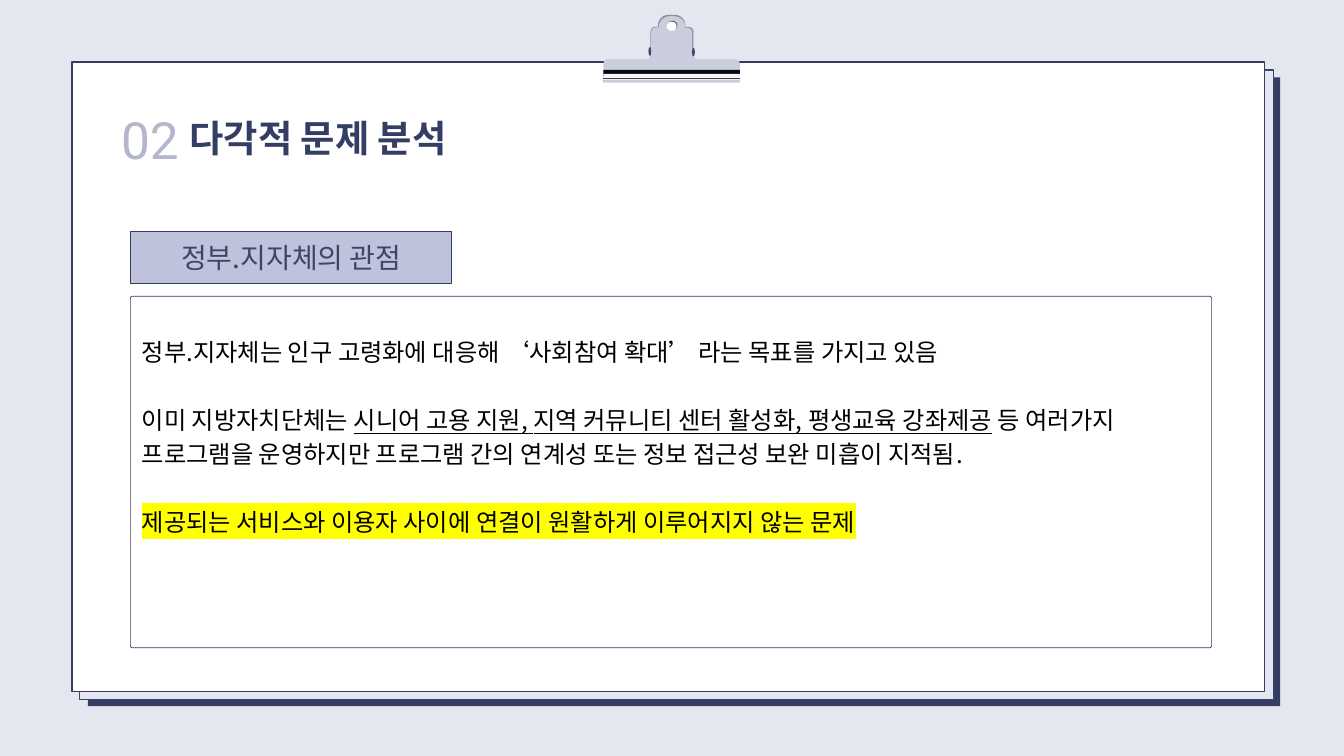
from lxml.etree import SubElement
from pptx import Presentation
from pptx.dml.color import RGBColor
from pptx.enum.shapes import MSO_CONNECTOR, MSO_SHAPE
from pptx.enum.text import PP_ALIGN
from pptx.oxml.ns import qn
from pptx.util import Inches, Pt

NAVY = RGBColor(0x34, 0x3D, 0x63)
SLATE = RGBColor(0x3D, 0x45, 0x69)
MIST = RGBColor(0xE5, 0xE7, 0xF0)
LAVENDER = RGBColor(0xBE, 0xC3, 0xDB)
NUMBER = RGBColor(0x9B, 0xA0, 0xBB)
METAL = RGBColor(0xCA, 0xCD, 0xDB)
METAL_EDGE = RGBColor(0x81, 0x92, 0xA7)
BAND = RGBColor(0x00, 0x0C, 0x0D)
PALE_PINK = RGBColor(0xFC, 0xF1, 0xFA)
STRIPE = RGBColor(0x2D, 0x45, 0x50)
WHITE = RGBColor(0xFF, 0xFF, 0xFF)
BLACK = RGBColor(0x00, 0x00, 0x00)
KOREAN = "Noto Sans CJK KR"
RECT, ROUND, OVAL = MSO_SHAPE.RECTANGLE, MSO_SHAPE.ROUNDED_RECTANGLE, MSO_SHAPE.OVAL

deck = Presentation()
deck.slide_width, deck.slide_height = Inches(20), Inches(11.25)
page = deck.slides.add_slide(deck.slide_layouts[6])
page.background.fill.solid()
page.background.fill.fore_color.rgb = MIST


def add_block(kind, place, fill, line=None, weight=0.75, radius=0, turn=0):
    block = page.shapes.add_shape(kind, *[Inches(value) for value in place])
    block.shadow.inherit = False
    block.fill.solid()
    block.fill.fore_color.rgb = fill
    if line is None:
        block.line.fill.background()
    else:
        block.line.color.rgb = line
        block.line.width = Pt(weight)
    if kind == ROUND:
        block.adjustments[0] = radius / min(place[2:])
    block.rotation = turn


def add_text(place, paragraphs, size, spacing, color, font=KOREAN,
             align=PP_ALIGN.LEFT, bold=False):
    """Each paragraph is (space before, [(text, style)]); returns the last run."""
    box = page.shapes.add_textbox(*[Inches(value) for value in place])
    frame = box.text_frame
    frame.word_wrap = True
    frame.margin_left = frame.margin_right = frame.margin_top = frame.margin_bottom = 0
    for index, (before, spans) in enumerate(paragraphs):
        para = frame.add_paragraph() if index else frame.paragraphs[0]
        para.alignment = align
        para.line_spacing = Pt(spacing)
        para.space_before = Pt(before)
        for text, style in spans:
            span = para.add_run()
            span.text = text
            span.font.size = Pt(size)
            span.font.bold = bold
            span.font.underline = style == "underline"
            span.font.color.rgb = color
            span.font.name = font
            properties = span.font._element
            SubElement(properties, qn("a:ea")).set("typeface", font)
            if style == "highlight":
                marker = SubElement(properties, qn("a:highlight"))
                SubElement(marker, qn("a:srgbClr")).set("val", "FFFF00")
                properties.find(qn("a:solidFill")).addnext(marker)
    return span


# Stacked sheets
add_block(RECT, (1.31, 1.15, 17.74, 9.36), NAVY)
add_block(RECT, (1.18, 1.04, 17.77, 9.37), MIST, SLATE, 1.5)
add_block(RECT, (1.07, 0.92, 17.75, 9.37), WHITE, NAVY, 1.5)

# Content panel and its label
add_block(ROUND, (1.94, 4.41, 16.09, 5.23), WHITE, NAVY, radius=0.03)
add_block(RECT, (1.94, 3.45, 4.78, 0.77), LAVENDER, NAVY)

# Headings
number = add_text((1.5, 1.45, 1.46, 1.03), [(0, [("02", None)])], 55, 77, NUMBER,
                  "Roboto", PP_ALIGN.CENTER)
number_color = number.font._element.find(qn("a:solidFill")).find(qn("a:srgbClr"))
SubElement(number_color, qn("a:alpha")).set("val", "74000")
add_text((2.82, 1.61, 12.79, 0.78), [(0, [("다각적 문제 분석", None)])], 40, 56, NAVY, bold=True)
add_text((2.43, 3.5, 3.81, 0.58), [(0, [("정부.지자체의 관점", None)])], 30, 42, SLATE,
         align=PP_ALIGN.CENTER)

# Clip: body and plate
BAR_LEFT, BAR_WIDTH = 8.98, 2.03
for place, fill, radius in [
    ((9.79, 0.22, 0.41, 0.33), METAL_EDGE, 0.16),
    ((9.68, 0.4, 0.64, 0.61), METAL_EDGE, 0.07),
    ((9.69, 0.41, 0.61, 0.67), METAL, 0.07),
    ((BAR_LEFT, 0.88, BAR_WIDTH, 0.33), METAL, 0.07),
    ((9.8, 0.24, 0.4, 0.35), METAL, 0.17),
]:
    add_block(ROUND, place, fill, radius=radius)
add_block(RECT, (9.6, 0.85, 0.18, 0.06), METAL, turn=315)
add_block(RECT, (10.23, 0.86, 0.19, 0.05), METAL, turn=45)

# Clip: bands and stripes across the plate
for top, height, fill in [(1.04, 0.1, BAND), (1.1, 0.12, PALE_PINK)]:
    add_block(RECT, (BAR_LEFT, top, BAR_WIDTH, height), fill)
for height, color, weight in [(1.16, BLACK, 0.92), (1.17, STRIPE, 1.54), (1.19, STRIPE, 0.92)]:
    stripe = page.shapes.add_connector(
        MSO_CONNECTOR.STRAIGHT, Inches(BAR_LEFT), Inches(height),
        Inches(BAR_LEFT + BAR_WIDTH), Inches(height))
    stripe.line.color.rgb = color
    stripe.line.width = Pt(weight)
    SubElement(stripe._element.spPr, qn("a:effectLst"))
for top, height, fill in [(1.2, 0.01, METAL_EDGE), (1.19, 0.04, METAL)]:
    add_block(RECT, (BAR_LEFT, top, BAR_WIDTH, height), fill)

# Clip: pins and hole
for place, fill in [
    ((10.3, 0.71, 0.04, 0.13), SLATE),
    ((9.93, 0.31, 0.15, 0.14), SLATE),
    ((9.92, 0.32, 0.15, 0.14), WHITE),
    ((9.65, 0.7, 0.04, 0.13), SLATE),
]:
    add_block(OVAL, place, fill)

# Body text, with one line of space between blocks
LINE = 36.4
add_text((2.11, 4.95, 15.75, 6.03), [
    (0, [("정부.지자체는 인구 고령화에 대응해 ‘사회참여 확대’ 라는 목표를 가지고 있음", None)]),
    (LINE, [("이미 지방자치단체는 ", None),
            ("시니어 고용 지원, 지역 커뮤니티 센터 활성화, 평생교육 강좌제공", "underline"),
            (" 등 여러가지", None)]),
    (0, [("프로그램을 운영하지만 프로그램 간의 연계성 또는 정보 접근성 보완 미흡이 지적됨.", None)]),
    (LINE, [("제공되는 서비스와 이용자 사이에 연결이 원활하게 이루어지지 않는 문제", "highlight")]),
], 26, LINE, BLACK)

deck.save("out.pptx")
